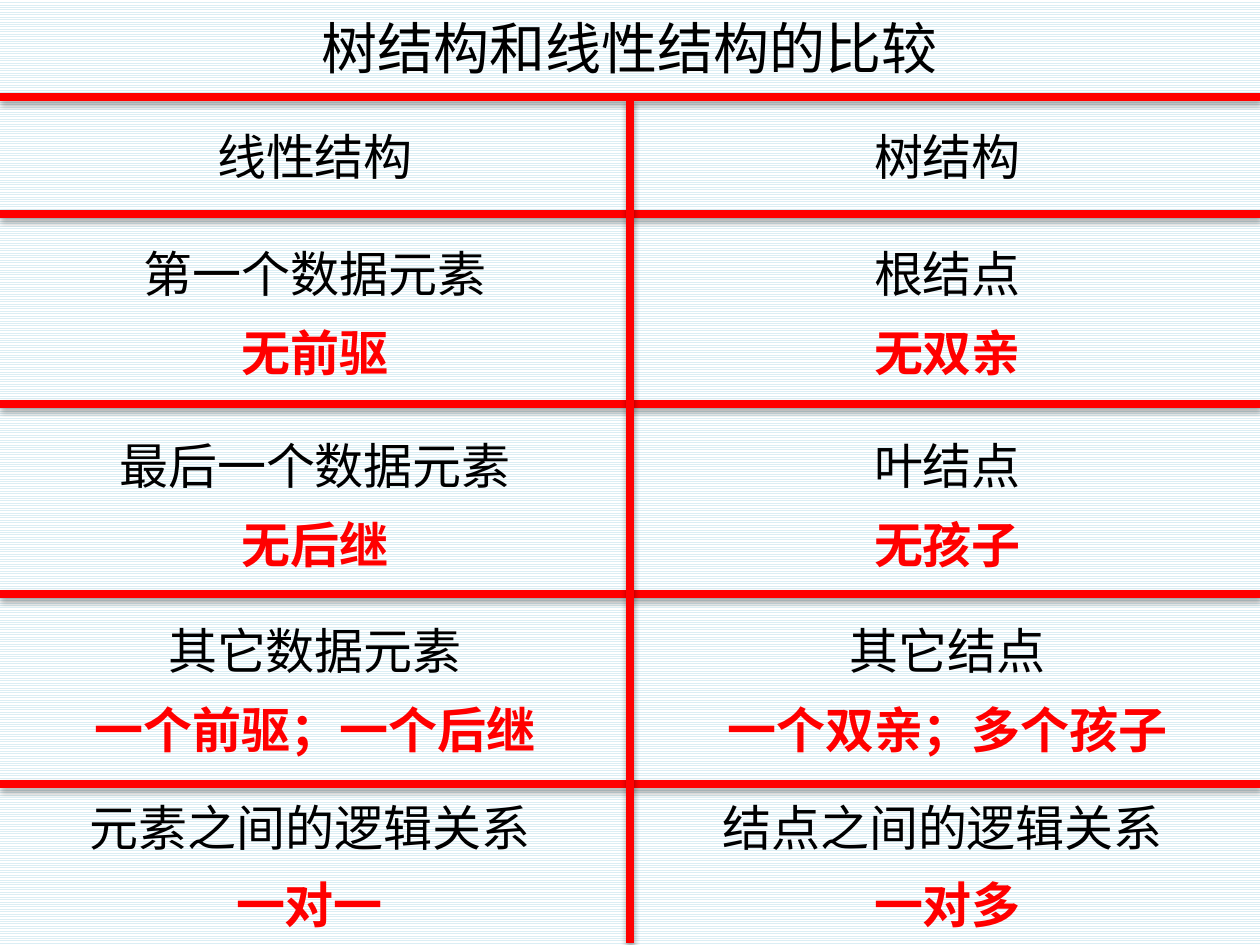
from lxml import etree
from pptx import Presentation
from pptx.dml.color import RGBColor
from pptx.enum.dml import MSO_PATTERN
from pptx.enum.shapes import MSO_CONNECTOR
from pptx.enum.text import MSO_ANCHOR, MSO_AUTO_SIZE, PP_ALIGN
from pptx.oxml.ns import qn
from pptx.util import Cm, Pt

STRAIGHT = MSO_CONNECTOR.STRAIGHT
STRIPES = MSO_PATTERN.LIGHT_HORIZONTAL
MIDDLE = MSO_ANCHOR.MIDDLE
CENTER = PP_ALIGN.CENTER
NO_FIT = MSO_AUTO_SIZE.NONE

FONT = "Noto Sans CJK SC"
BLACK, RED = "000000", "FF0000"
PAGE_WIDTH, PAGE_HEIGHT = 25.4, 19.05
MIDDLE_X = 12.7
TITLE_RULE_Y, HEADER_RULE_Y, ROW_PITCH = 1.96, 4.32, 3.83
COLUMNS = [(0, 12.7), (12.8, 12.6)]
LINE_HEIGHT = 1.45
LABEL = {"size": Pt(28), "bold": False}
ANSWER = {"size": Pt(28), "bold": True}
TITLE = {"size": Pt(32), "bold": False}

# top of the line, shift to the right, is an answer, text of each column
LINES = [
    (2.41, 0, False, ("线性结构", "树结构")),
    (4.78, 0, False, ("第一个数据元素", "根结点")),
    (6.38, 0, True, ("无前驱", "无双亲")),
    (8.64, 0, False, ("最后一个数据元素", "叶结点")),
    (10.24, 0, True, ("无后继", "无孩子")),
    (12.37, 0, False, ("其它数据元素", "其它结点")),
    (13.97, 0, True, ("一个前驱；一个后继", "一个双亲；多个孩子")),
    (15.95, -0.1, False, ("元素之间的逻辑关系", "结点之间的逻辑关系")),
    (17.5, 0, True, ("一对一 ", "一对多")),
]


def color(value):
    return RGBColor.from_string(value)


def set_background(page):
    fill = page.background.fill
    fill.patterned()
    fill.pattern = STRIPES
    fill.fore_color.rgb = color("DBEEF4")
    fill.back_color.rgb = color("FFFFFF")


def write(box, text, text_color, font_format):
    """Put one centred line in a shape, for Latin and East Asian text alike."""
    frame = box.text_frame
    frame_format = {
        "word_wrap": True, "auto_size": NO_FIT, "vertical_anchor": MIDDLE,
        "margin_top": 0, "margin_bottom": 0,
    }
    for name, value in frame_format.items():
        setattr(frame, name, value)
    para = frame.paragraphs[0]
    para.alignment = CENTER
    span = para.add_run()
    span.text = text
    for name, value in font_format.items():
        setattr(span.font, name, value)
    span.font.color.rgb = color(text_color)
    span.font.name = FONT
    properties = span.font._element
    etree.SubElement(properties, qn("a:ea"), typeface=FONT)


def add_title(page, text):
    title = page.shapes.title
    place = {"left": 0, "top": Cm(0.13), "width": Cm(PAGE_WIDTH), "height": Cm(1.65)}
    for name, value in place.items():
        setattr(title, name, value)
    write(title, text, BLACK, TITLE)


def add_rule(page, x1, y1, x2, y2):
    """Draw a thick red line with a soft shadow below it."""
    rule = page.shapes.add_connector(STRAIGHT, Cm(x1), Cm(y1), Cm(x2), Cm(y2))
    rule.line.color.rgb = color(RED)
    rule.line.width = Pt(4.5)
    effects = etree.SubElement(rule._element.spPr, qn("a:effectLst"))
    shadow = etree.SubElement(
        effects, qn("a:outerShdw"), blurRad=str(Pt(3.1)), dist=str(Pt(1.8)),
        dir="5400000", rotWithShape="0")
    shade = etree.SubElement(shadow, qn("a:srgbClr"), val=BLACK)
    etree.SubElement(shade, qn("a:alpha"), val="35000")


def add_rules(page):
    row_rules = [HEADER_RULE_Y + ROW_PITCH * row for row in range(4)]
    for y in [TITLE_RULE_Y] + row_rules:
        add_rule(page, 0, y, PAGE_WIDTH, y)
    add_rule(page, MIDDLE_X, 2, MIDDLE_X, 19)


def add_comparison_line(page, top, shift, is_answer, texts):
    text_color, font_format = (RED, ANSWER) if is_answer else (BLACK, LABEL)
    for (left, width), text in zip(COLUMNS, texts):
        box = page.shapes.add_textbox(
            Cm(left + shift), Cm(top), Cm(width), Cm(LINE_HEIGHT))
        write(box, text, text_color, font_format)


def main():
    deck = Presentation()
    deck.slide_width, deck.slide_height = Cm(PAGE_WIDTH), Cm(PAGE_HEIGHT)
    page = deck.slides.add_slide(deck.slide_layouts[5])
    set_background(page)
    add_rules(page)
    add_title(page, "树结构和线性结构的比较")
    for line in LINES:
        add_comparison_line(page, *line)
    deck.save("out.pptx")


if __name__ == "__main__":
    main()
